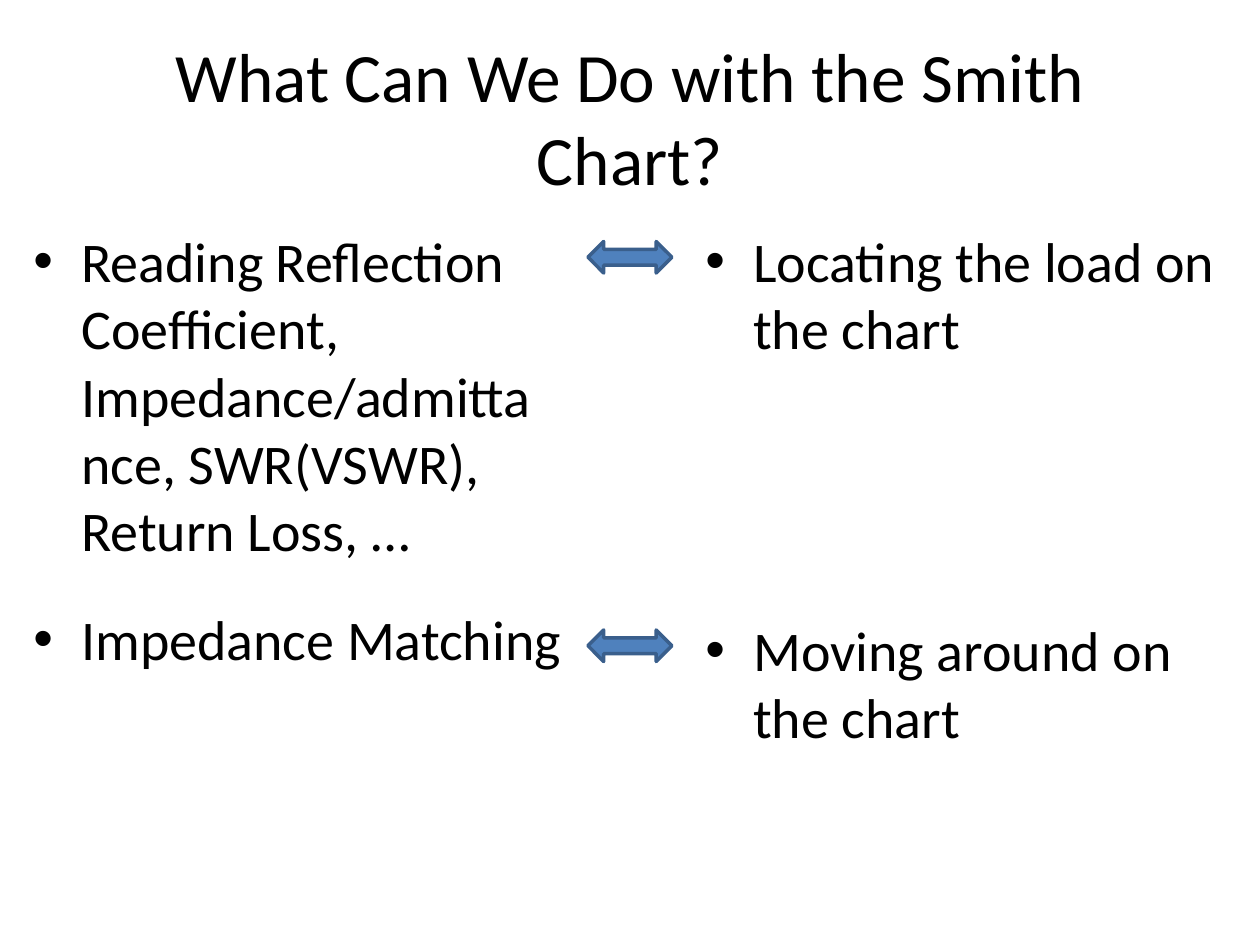
from dataclasses import dataclass

from lxml import etree
from pptx import Presentation
from pptx import util as u
from pptx.dml.color import RGBColor
from pptx.enum import shapes, text
from pptx.oxml import ns


@dataclass(frozen=True)
class Theme:
    font: str = "Calibri"
    ink: str = "000000"
    arrow_fill: str = "4F81BD"
    arrow_line: str = "3A5F8C"
    title_size: float = 39.6
    body_size: float = 32


THEME = Theme()
UNIT = u.Inches(1 / 12)
INDENT = u.Inches(0.38)
LEFT, MIDDLE, RIGHT = 2, 56, 66
TITLE_BOX = (6, 3.6, 108, 15)

ROWS = [
    {
        "task": ("Reading Reflection Coefficient, Impedance/admittance, "
                 "SWR(VSWR), Return Loss, …", (LEFT, 21, 52, 37)),
        "method": ("Locating the load on the chart", (RIGHT, 21, 52, 29)),
        "arrow": (MIDDLE, 23, 8, 3),
    },
    {
        "task": ("Impedance Matching", (LEFT, 57, 54, 29)),
        "method": ("Moving around on the chart", (RIGHT, 58, 54, 29)),
        "arrow": (MIDDLE, 60, 8, 3),
    },
]


def grid(box):
    return [round(side * UNIT) for side in box]


def write(frame, words, size, align=text.PP_ALIGN.LEFT,
          anchor=text.MSO_ANCHOR.TOP, bullet=None):
    frame.word_wrap = True
    frame.auto_size = text.MSO_AUTO_SIZE.NONE
    frame.vertical_anchor = anchor
    para = frame.paragraphs[0]
    para.alignment = align
    span = para.add_run()
    span.text = words
    span.font.name = THEME.font
    span.font.size = u.Pt(size)
    span.font.color.rgb = RGBColor.from_string(THEME.ink)
    if bullet:
        props = para._p.get_or_add_pPr()
        props.set("marL", str(INDENT))
        props.set("indent", str(-INDENT))
        before = etree.SubElement(props, ns.qn("a:spcBef"))
        etree.SubElement(before, ns.qn("a:spcPct"), val="20000")
        etree.SubElement(props, ns.qn("a:buFont"), typeface="Arial")
        etree.SubElement(props, ns.qn("a:buChar"), char=bullet)


def add_title(page, words, box):
    title = page.shapes.title
    title.left, title.top, title.width, title.height = grid(box)
    write(title.text_frame, words, THEME.title_size,
          align=text.PP_ALIGN.CENTER, anchor=text.MSO_ANCHOR.MIDDLE)


def add_point(page, words, box):
    point = page.shapes.add_textbox(*grid(box))
    write(point.text_frame, words, THEME.body_size, bullet="•")


def add_arrow(page, box):
    arrow = page.shapes.add_shape(shapes.MSO_SHAPE.LEFT_RIGHT_ARROW, *grid(box))
    arrow.shadow.inherit = False
    arrow.fill.solid()
    arrow.fill.fore_color.rgb = RGBColor.from_string(THEME.arrow_fill)
    arrow.line.color.rgb = RGBColor.from_string(THEME.arrow_line)
    arrow.line.width = u.Pt(2)


def add_row(page, row):
    add_point(page, *row["task"])
    add_point(page, *row["method"])
    add_arrow(page, row["arrow"])


deck = Presentation()
deck.slide_width, deck.slide_height = u.Inches(10), u.Inches(7.5)
page = deck.slides.add_slide(deck.slide_layouts.get_by_name("Title Only"))
add_title(page, "What Can We Do with the Smith Chart?", TITLE_BOX)
for row in ROWS:
    add_row(page, row)
deck.save("out.pptx")
